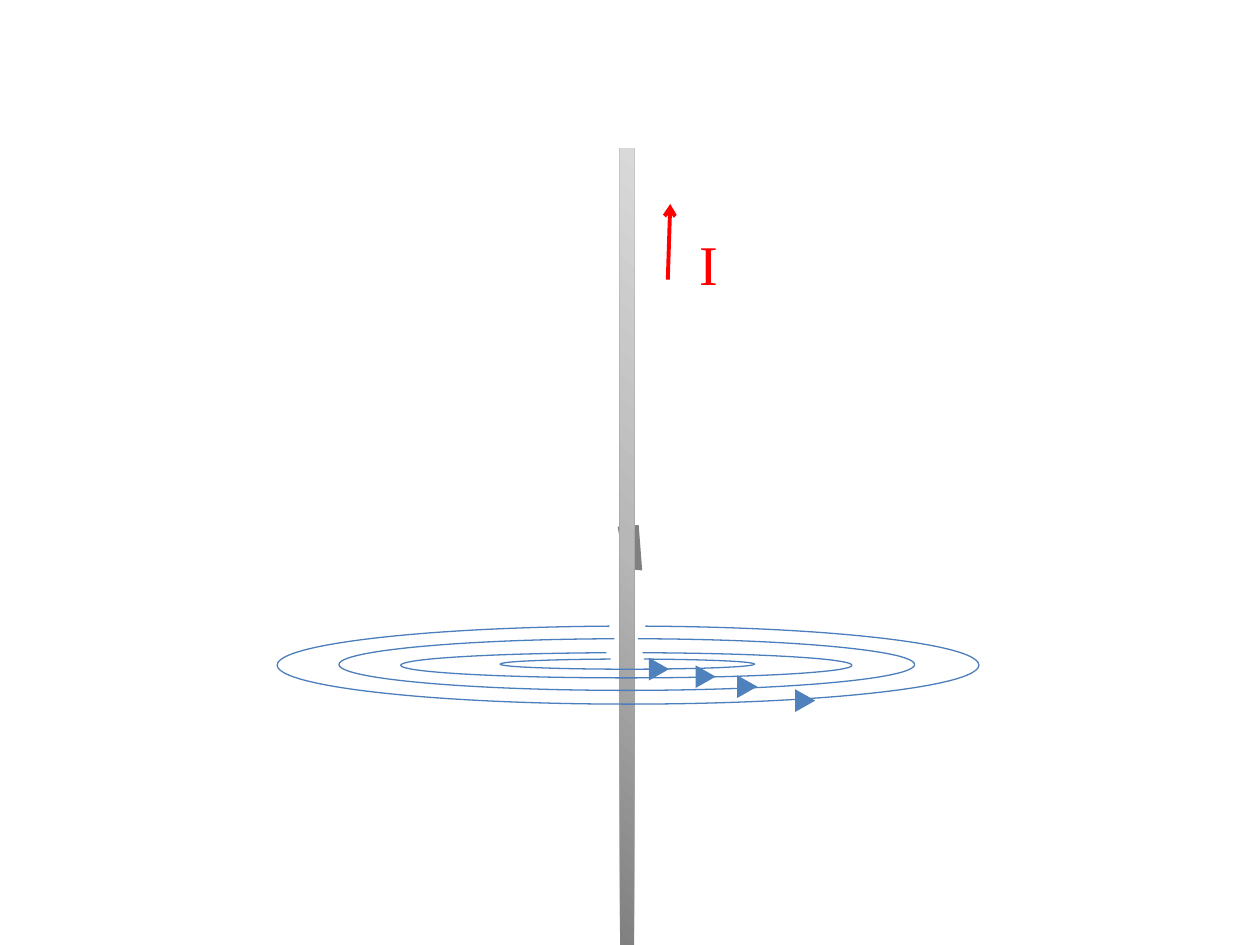
from copy import deepcopy
from pptx import Presentation
from pptx.dml.color import RGBColor
from pptx.enum.shapes import MSO_CONNECTOR, MSO_SHAPE
from pptx.enum.text import MSO_AUTO_SIZE
from pptx.oxml.ns import qn
from pptx.util import Pt
from lxml.etree import SubElement

THEME = {
    "dark": "808080", "wire": ["808080", "B7B7B7", "D9D9D9"],
    "field": "4B7EBC", "head": "4F81BD", "flow": "FF0000",
    "font": "Times New Roman", "size": 32, "thin": 0.75, "bold": 2.25,
}
WIRE = (354.2, 85, 8.2, 455)
SHADE = [(367.2, 326.2), (357.1, 324.7), (352.8, 301), (365, 300.2)]
WIDE = (176.389, 146.585)
RINGS = [
    ((193.7, 365, 329, 29.5), WIDE),
    ((229, 373, 257.8, 14.4), (193.39, 127.297)),
    ((158.4, 357.8, 401, 44.6), WIDE),
    ((285.8, 376.6, 145.4, 5.8), (205.842, 118.043)),
]
HEADS = [(370.1, 376.6), (396.7, 380.9), (420.5, 386.6), (453.6, 394.6)]
HEAD = (13, 11.5)
FLOW = (381.6, 159.8, 383, 116.6)
LABEL = ("I", (392.4, 127.4, 25.2, 46.1))


def color(name):
    return RGBColor.from_string(name)


def paint(shape, fill=None):
    shape.shadow.inherit = False
    shape.line.fill.background()
    if fill:
        shape.fill.solid()
        shape.fill.fore_color.rgb = color(fill)
    else:
        shape.fill.background()


def add(shapes, kind, box, fill=None):
    shape = shapes.add_shape(kind, *map(Pt, box))
    paint(shape, fill)
    return shape


def stroke(line, name, width):
    line.color.rgb = color(name)
    line.width = Pt(width)


def blend(shape, names, angle):
    fill = shape.fill
    fill.gradient()
    fill.gradient_angle = angle
    stops = shape.element.spPr.find(".//" + qn("a:gsLst"))
    stops.insert(1, deepcopy(stops[0]))
    for i, (stop, name) in enumerate(zip(fill.gradient_stops, names)):
        stop.position = i / (len(names) - 1)
        stop.color.rgb = color(name)


def main():
    """Draw a current-carrying wire with its circular magnetic field lines."""
    deck = Presentation()
    deck.slide_width, deck.slide_height = Pt(720), Pt(540)
    shapes = deck.slides.add_slide(deck.slide_layouts[6]).shapes

    form = shapes.build_freeform(*SHADE[0], scale=Pt(1))
    form.add_line_segments(SHADE[1:], close=True)
    paint(form.convert_to_shape(), THEME["dark"])
    blend(add(shapes, MSO_SHAPE.RECTANGLE, WIRE), THEME["wire"], 45)

    for box, ends in RINGS:
        ring = add(shapes, MSO_SHAPE.ARC, box)
        ring.adjustments[0], ring.adjustments[1] = ends
        stroke(ring.line, THEME["field"], THEME["thin"])
    for spot in HEADS:
        head = add(shapes, MSO_SHAPE.ISOSCELES_TRIANGLE, spot + HEAD, THEME["head"])
        head.rotation = 90

    flow = shapes.add_connector(MSO_CONNECTOR.STRAIGHT, *map(Pt, FLOW))
    stroke(flow.line, THEME["flow"], THEME["bold"])
    props = flow.element.spPr
    SubElement(props.find(qn("a:ln")), qn("a:tailEnd"), type="arrow")
    SubElement(props, qn("a:effectLst"))

    text, box = LABEL
    frame = shapes.add_textbox(*map(Pt, box)).text_frame
    frame.word_wrap = False
    frame.auto_size = MSO_AUTO_SIZE.SHAPE_TO_FIT_TEXT
    frame.text = text
    font = frame.paragraphs[0].runs[0].font
    font.name, font.size = THEME["font"], Pt(THEME["size"])
    font.color.rgb = color(THEME["flow"])
    deck.save("out.pptx")


if __name__ == "__main__":
    main()
